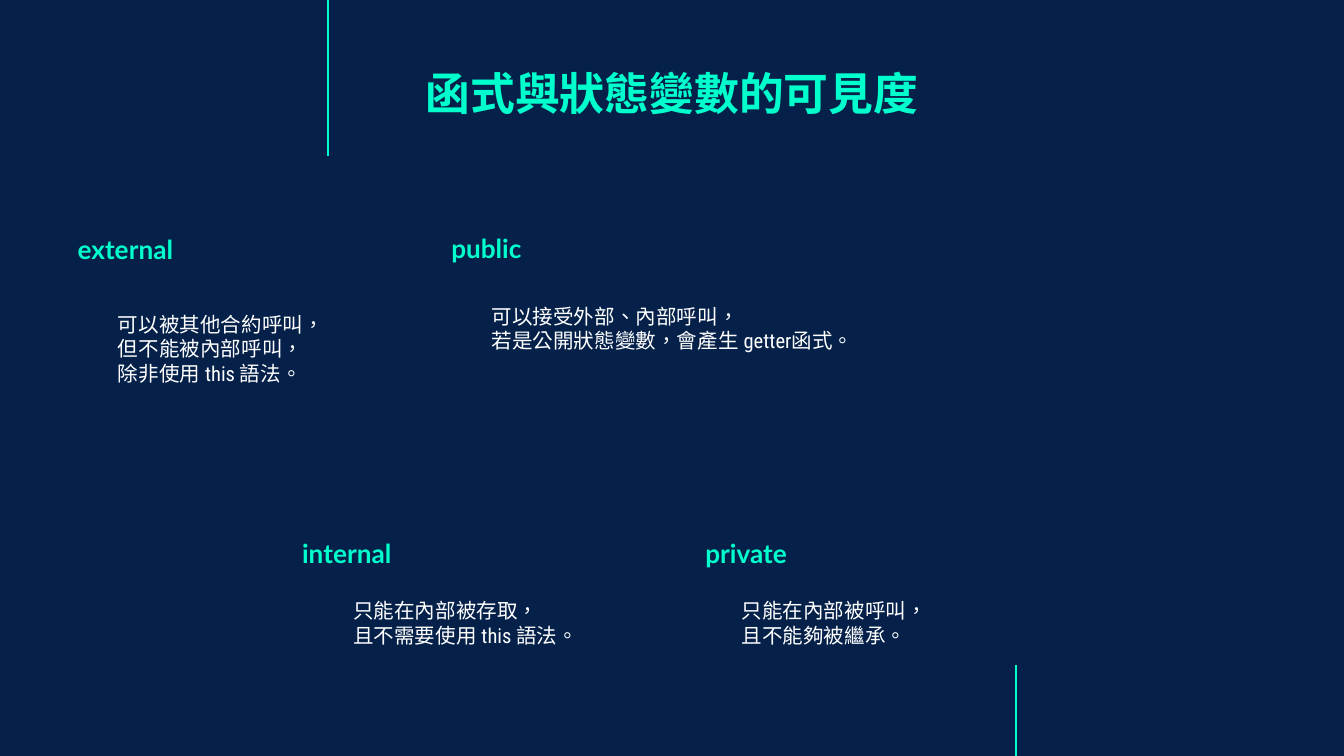
"""Build the slide on visibility of functions and state variables."""
from pptx import Presentation
from pptx.dml.color import RGBColor as Rgb
from pptx.enum.shapes import MSO_CONNECTOR as Conn
from pptx.enum.text import MSO_ANCHOR as Anchor, PP_ALIGN as Align
from pptx.oxml.ns import qn
from pptx.util import Inches, Pt
from lxml.etree import SubElement

NAVY = Rgb(0x05, 0x21, 0x4A)
MINT = Rgb(0x00, 0xFF, 0xCD)
WHITE = Rgb(0xFF, 0xFF, 0xFF)

WIDE = 10
HIGH = WIDE * 9 / 16
TITLE = "函式與狀態變數的可見度"
TERMS = [
    ("external", (0.48, 1.6), (0.78, 2.22, 1.87),
     ["可以被其他合約呼叫，但不能被內部呼叫，", "除非使用 this 語法。"]),
    ("internal", (2.15, 3.86), (2.53, 4.35, 1.87),
     ["只能在內部被存取，", "且不需要使用 this 語法。"]),
    ("public", (3.26, 1.59), (3.56, 2.16, 2.98),
     ["可以接受外部、內部呼叫，", "若是公開狀態變數，會產生 getter函式。"]),
    ("private", (5.15, 3.86), (5.42, 4.35, 1.96),
     ["只能在內部被呼叫，", "且不能夠被繼承。"]),
]
RULES = [(2.44, 0, 1.16), (7.56, 4.95, HIGH)]

HEAD = {"name": "Lato", "size": Pt(24), "bold": True}
TERM = {"name": "Lato", "size": Pt(14), "bold": True}
BODY = {"name": "Roboto Condensed", "size": Pt(11)}
FRAME = {"word_wrap": True}
FRAME.update({f"margin_{side}": Inches(0.1)
              for side in ("left", "right", "top", "bottom")})


def put(item, style):
    for key, value in style.items():
        setattr(item, key, value)


def add_text(slide, box, lines, font, color, anchor=Anchor.TOP, align=Align.LEFT):
    frame = slide.shapes.add_textbox(*map(Inches, box)).text_frame
    put(frame, {**FRAME, "vertical_anchor": anchor})
    frame.text = "\n".join(lines)
    for para in frame.paragraphs:
        para.alignment = align
        for run in para.runs:
            put(run.font, font)
            run.font.color.rgb = color
            run._r.get_or_add_rPr().set("lang", "zh-TW")


def add_rule(slide, x, top, end):
    rule = slide.shapes.add_connector(
        Conn.STRAIGHT, *map(Inches, (x, top, x, end)))
    rule.line.color.rgb = MINT
    rule.line.width = Pt(0.75)
    SubElement(rule._element.spPr, qn("a:effectLst"))


def main():
    deck = Presentation()
    put(deck, {"slide_width": Inches(WIDE), "slide_height": Inches(HIGH)})
    slide = deck.slides.add_slide(deck.slide_layouts[6])
    fill = slide.background.fill
    fill.solid()
    fill.fore_color.rgb = NAVY

    add_text(slide, (2.15, 0.39, 5.7, 1.03), [TITLE], HEAD, MINT,
             align=Align.CENTER)
    for rule in RULES:
        add_rule(slide, *rule)
    for term, spot, area, lines in TERMS:
        add_text(slide, (*spot, 1.96, 0.47), [term], TERM, MINT, Anchor.BOTTOM)
        add_text(slide, (*area, 1.1), lines, BODY, WHITE)
    deck.save("out.pptx")


if __name__ == "__main__":
    main()
